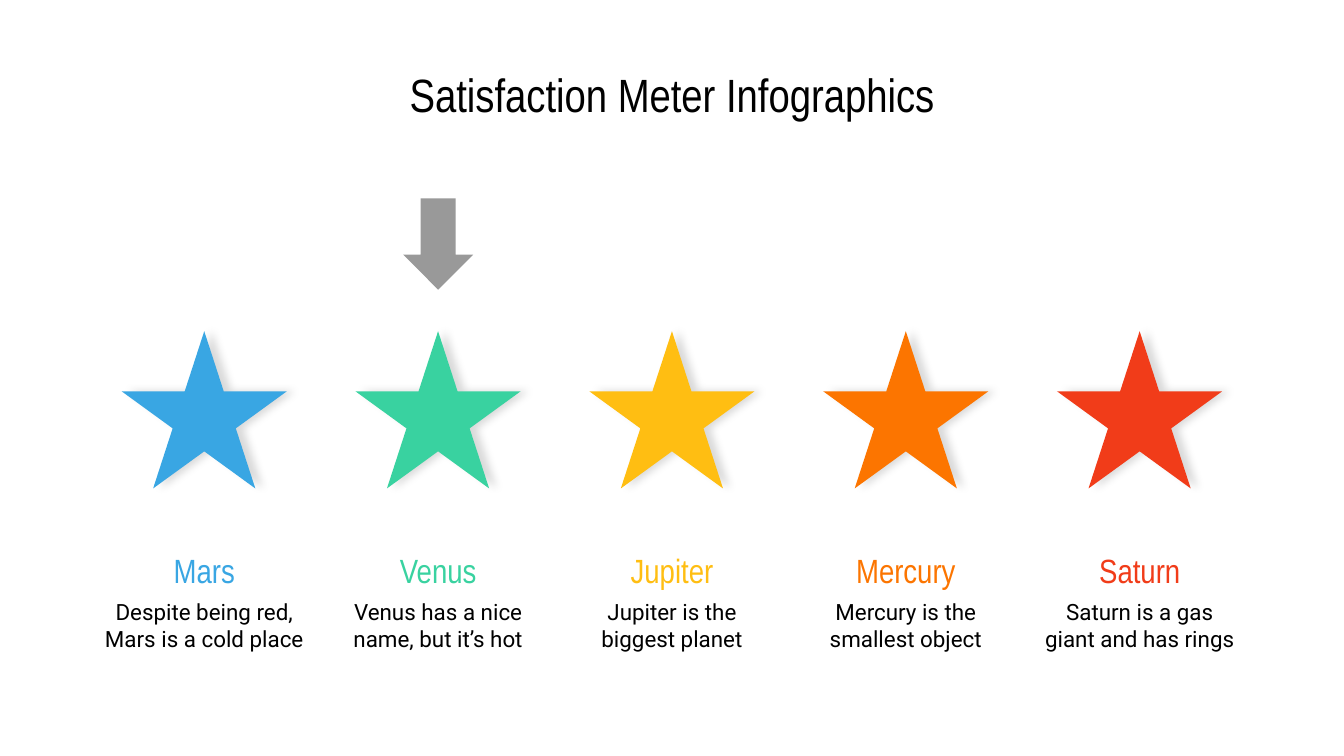
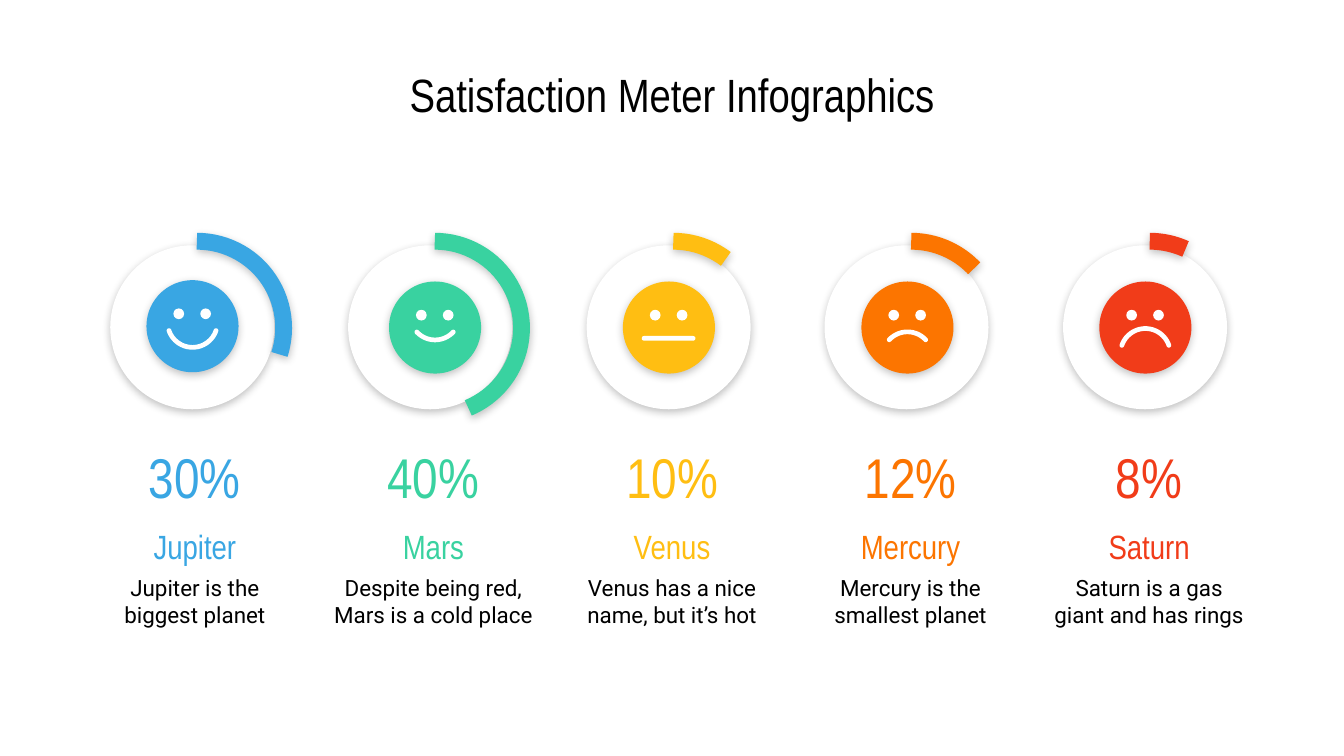
from math import cos, pi, radians, sin

from lxml import etree
from pptx import Presentation
from pptx.dml.color import RGBColor
from pptx.enum.shapes import MSO_SHAPE
from pptx.enum.text import MSO_ANCHOR, PP_ALIGN
from pptx.oxml.ns import qn
from pptx.util import Pt

# Scale: 200 px to the inch
PX = 4572
WIDE, HIGH = 2000, 1125

# Enum members
STAR = MSO_SHAPE.STAR_5_POINT
ARROW = MSO_SHAPE.DOWN_ARROW
OVAL = MSO_SHAPE.OVAL
ARC = MSO_SHAPE.ARC
PILL = MSO_SHAPE.ROUNDED_RECTANGLE
CENTER = PP_ALIGN.CENTER
TOP = MSO_ANCHOR.TOP
MIDDLE = MSO_ANCHOR.MIDDLE

# Colours
BLACK = RGBColor(0x00, 0x00, 0x00)
WHITE = RGBColor(0xFF, 0xFF, 0xFF)
GRAY = RGBColor(0x99, 0x99, 0x99)
BLUE = RGBColor(0x39, 0xA6, 0xE3)
GREEN = RGBColor(0x39, 0xD2, 0xA0)
YELLOW = RGBColor(0xFF, 0xBE, 0x12)
ORANGE = RGBColor(0xFC, 0x75, 0x00)
RED = RGBColor(0xF1, 0x3C, 0x19)
COLORS = (BLUE, GREEN, YELLOW, ORANGE, RED)

# Fonts
HEAD_FONT = "Arial Narrow"
BODY_FONT = "Roboto"

# Shadows: opacity in percent, distance in points, angle in degrees
SIDE = (15, 3.75, 359)
DROP = (23, 1.5, 90)
BLUR = 4.5

# Sizes shared by the columns
LABEL = 338
DISC = 244
RING = 258
HEAD = 137
EYE = 16
SMILE = 37
LIP = 7

# Slide 1: name and note of each star
STARS = (
    ("Mars", "Despite being red, Mars is a cold place"),
    ("Venus", "Venus has a nice name, but it’s hot"),
    ("Jupiter", "Jupiter is the biggest planet"),
    ("Mercury", "Mercury is the smallest object"),
    ("Saturn", "Saturn is a gas giant and has rings"),
)

# Slide 2: share, name, note, end angle of the ring, offset of the head
# in the disc, and mouth (centre height, middle angle, half sweep)
FACES = (
    ("30%", "Jupiter", "Jupiter is the biggest planet",
     17.77, (54, 52), (63, 90, 71)),
    ("40%", "Mars", "Despite being red, Mars is a cold place",
     67.27, (61, 54), (50, 90, 47)),
    ("10%", "Venus", "Venus has a nice name, but it’s hot",
     307.25, (54, 54), None),
    ("12%", "Mercury", "Mercury is the smallest planet",
     316.55, (55, 54), (112, 270, 47)),
    ("8%", "Saturn", "Saturn is a gas giant and has rings",
     294.35, (54, 54), (107, 270, 71)),
)


class Deck:
    """Holds the style and the current slide."""

    def __init__(self):
        self.prs = Presentation()
        self.prs.slide_width = WIDE * PX
        self.prs.slide_height = HIGH * PX
        self.slide = None

    def page(self, title):
        self.slide = self.prs.slides.add_slide(self.prs.slide_layouts[6])
        self.text(100, 90, 1800, 100, title, 25, BLACK, anchor=MIDDLE)

    def text(self, x, y, w, h, words, size, color, font=HEAD_FONT, anchor=TOP):
        box = self.slide.shapes.add_textbox(x * PX, y * PX, w * PX, h * PX)
        frame = box.text_frame
        frame.word_wrap = True
        frame.vertical_anchor = anchor
        frame.margin_left = frame.margin_right = 20 * PX
        frame.margin_top = frame.margin_bottom = 20 * PX
        para = frame.paragraphs[0]
        para.alignment = CENTER
        run = para.add_run()
        run.text = words
        run.font.size = Pt(size)
        run.font.name = font
        run.font.color.rgb = color

    def label(self, x, y, name, note, color):
        self.text(x, y, LABEL, 72, name, 18, color)
        self.text(x, y + 72, LABEL, 110, note, 12, BLACK, BODY_FONT)

    def paint(self, shape, color, shade=None):
        shape.fill.solid()
        shape.fill.fore_color.rgb = color
        shape.line.fill.background()
        self.shade(shape, shade)

    def shade(self, shape, shade):
        shape.shadow.inherit = False
        if shade is None:
            return
        alpha, dist, angle = shade
        effects = shape._element.spPr.find(qn("a:effectLst"))
        outer = etree.SubElement(
            effects, qn("a:outerShdw"), blurRad=str(Pt(BLUR)),
            dist=str(Pt(dist)), dir=str(angle * 60000),
            algn="bl", rotWithShape="0")
        tint = etree.SubElement(outer, qn("a:srgbClr"), val=str(BLACK))
        etree.SubElement(tint, qn("a:alpha"), val=str(alpha * 1000))

    def shape(self, kind, x, y, w, h, color, shade=None):
        item = self.slide.shapes.add_shape(kind, x * PX, y * PX, w * PX, h * PX)
        self.paint(item, color, shade)
        return item

    def ring(self, x, y, end, color):
        arc = self.slide.shapes.add_shape(
            ARC, x * PX, y * PX, RING * PX, RING * PX)
        arc.adjustments[0] = 270 * 0.6
        arc.adjustments[1] = end * 0.6
        arc.fill.background()
        arc.line.color.rgb = color
        arc.line.width = Pt(9)
        self.shade(arc, DROP)

    def mouth(self, cx, cy, mid, half):
        """Draw a curved band with round ends."""
        first, last = radians(mid - half), radians(mid + half)

        def sweep(x, y, r, start, stop, steps):
            turns = (start + (stop - start) * i / steps for i in range(steps + 1))
            return [(round((x + r * cos(t)) * PX), round((y + r * sin(t)) * PX))
                    for t in turns]

        def cap(angle, start):
            x, y = cx + SMILE * cos(angle), cy + SMILE * sin(angle)
            return sweep(x, y, LIP / 2, start, start + pi, 8)

        dots = sweep(cx, cy, SMILE + LIP / 2, first, last, 32)
        dots += cap(last, last)
        dots += sweep(cx, cy, SMILE - LIP / 2, last, first, 32)
        dots += cap(first, first + pi)
        pen = self.slide.shapes.build_freeform(*dots[0])
        pen.add_line_segments(dots[1:], close=True)
        self.paint(pen.convert_to_shape(), WHITE)

    def face(self, x, y, color, mouth):
        self.shape(OVAL, x, y, HEAD, HEAD, color, DROP)
        for dx in (40, 80):
            self.shape(OVAL, x + dx, y + 42, EYE, EYE, WHITE)
        if mouth:
            cy, mid, half = mouth
            self.mouth(x + HEAD / 2, y + cy, mid, half)
        else:
            lips = self.shape(PILL, x + 28, y + 81, 80, 7, WHITE)
            lips.adjustments[0] = 0.5


def main():
    deck = Deck()
    title = "Satisfaction Meter Infographics"

    # Slide 1: five stars, the arrow over the second
    deck.page(title)
    for i, ((name, note), color) in enumerate(zip(STARS, COLORS)):
        x = 181 + 348 * i
        deck.shape(STAR, x, 493, 246, 234, color, SIDE)
        deck.label(x - 46, 798, name, note, color)
    deck.shape(ARROW, 600, 295, 104, 136, GRAY)

    # Slide 2: five faces in discs with rings
    deck.page(title)
    for i, (row, color) in enumerate(zip(FACES, COLORS)):
        share, name, note, end, (dx, dy), mouth = row
        x = 164 + 709 * i // 2
        left = 121 + 355 * i
        deck.shape(OVAL, x, 365, DISC, DISC, WHITE, DROP)
        deck.ring(x, 359, end, color)
        deck.face(x + dx, 365 + dy, color, mouth)
        deck.text(left, 659, LABEL, 100, share, 30, color, anchor=MIDDLE)
        deck.label(left, 763, name, note, color)

    deck.prs.save("out.pptx")


if __name__ == "__main__":
    main()
